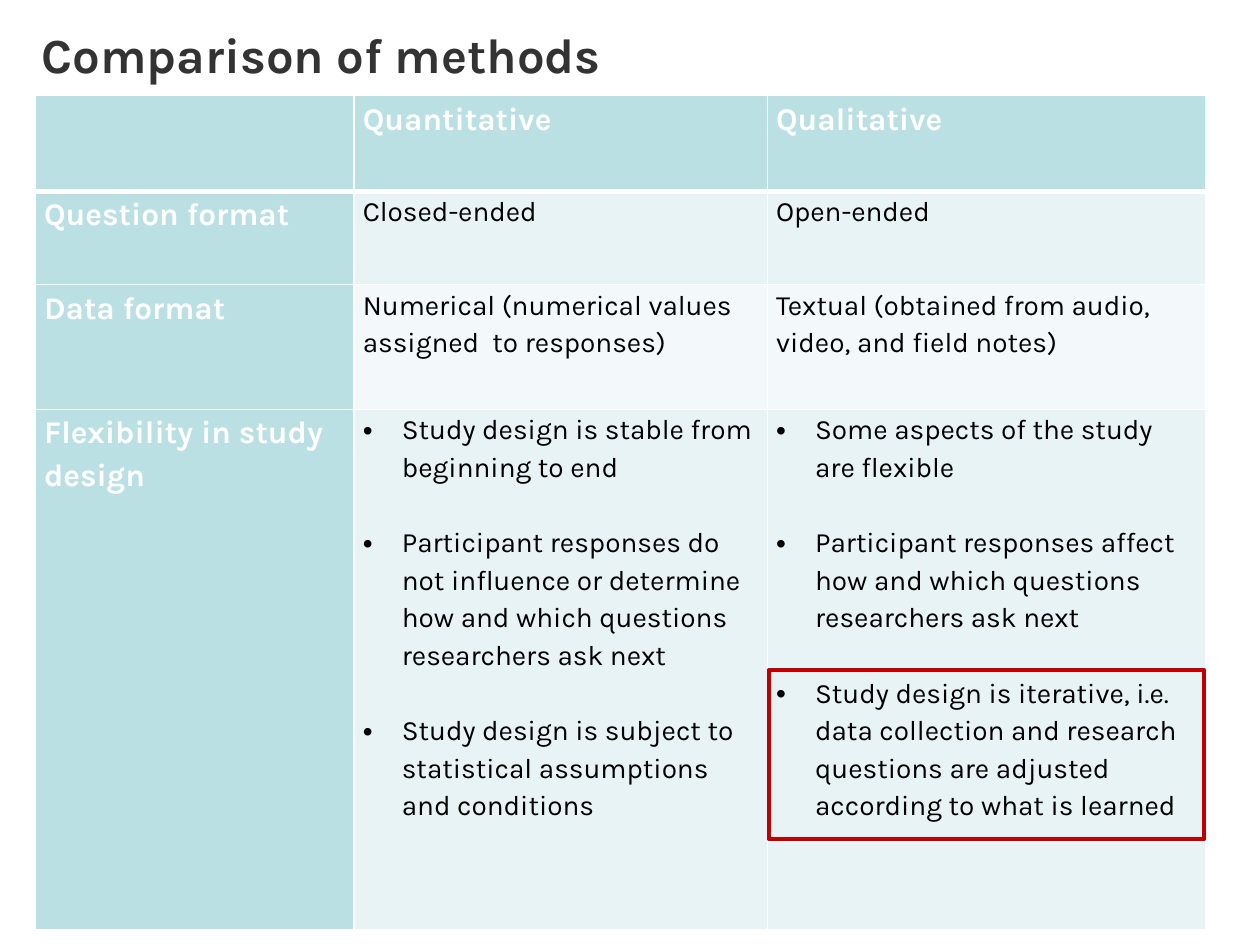
from lxml import etree
from pptx import Presentation
from pptx import util as u
from pptx.dml.color import RGBColor
from pptx.enum import shapes, text
from pptx.oxml import ns

# Content: a list in a cell becomes bullets
TITLE = "Comparison of methods"
ROWS = [
    ("", "Quantitative", "Qualitative"),
    ("Question format", "Closed-ended", "Open-ended"),
    ("Data format",
     "Numerical (numerical values assigned  to responses)",
     "Textual (obtained from audio, video, and field notes)"),
    ("Flexibility in study design",
     ["Study design is stable from beginning to end",
      "Participant responses do not influence or determine how and which "
      "questions researchers ask next",
      "Study design is subject to statistical assumptions and conditions"],
     ["Some aspects of the study are flexible",
      "Participant responses affect how and which questions researchers ask next",
      "Study design is iterative, i.e. data collection and research questions "
      "are adjusted according to what is learned"]),
]
COLUMN_WIDTHS = (2.53, 3.28, 3.48)
ROW_HEIGHTS = (0.76, 0.74, 0.99, 4.13)
TABLE_LEFT, TABLE_TOP = 0.28, 0.76
HEAD_FILL, BAND_FILLS = "BBE0E3", ("F3F9FA", "E7F3F4")
HEAD_FONT = {"size": 18, "color": "FFFFFF", "bold": True}
BODY_FONT = {"size": 16, "color": "000000", "bold": False}
TITLE_FONT = {"size": 28, "color": "333333", "bold": True}
BULLET_INDENT, BULLET_GAP = 0.31, 21.5


def colour(value):
    return RGBColor.from_string(value)


def write(para, words, font):
    span = para.add_run()
    span.text = words
    settings = {"name": "Karla", "size": u.Pt(font["size"]), "bold": font["bold"]}
    for name, value in settings.items():
        setattr(span.font, name, value)
    span.font.color.rgb = colour(font["color"])


def add_bullet(para):
    properties = para._p.get_or_add_pPr()
    indent = u.Inches(BULLET_INDENT)
    properties.set("marL", str(indent))
    properties.set("indent", str(-indent))
    etree.SubElement(properties, ns.qn("a:buFont"), typeface="Arial")
    etree.SubElement(properties, ns.qn("a:buChar"), char="•")


def add_borders(cell, widths):
    properties = cell._tc.get_or_add_tcPr()
    for side, width in widths.items():
        line = etree.SubElement(properties, ns.qn("a:ln" + side), w=str(u.Pt(width)))
        fill = etree.SubElement(line, ns.qn("a:solidFill"))
        etree.SubElement(fill, ns.qn("a:srgbClr"), val="FFFFFF")


def fill_cell(cell, content, row, column):
    is_head = row == 0 or column == 0
    margins = {"margin_left": 0.07, "margin_right": 0.07,
               "margin_top": 0, "margin_bottom": 0}
    for name, value in margins.items():
        setattr(cell, name, u.Inches(value))
    add_borders(cell, {"L": 1, "R": 1, "T": 3 if row == 1 else 1,
                       "B": 3 if row == 0 else 1})
    cell.fill.solid()
    cell.fill.fore_color.rgb = colour(HEAD_FILL if is_head else BAND_FILLS[row % 2])

    bulleted = isinstance(content, list)
    box = cell.text_frame
    for index, words in enumerate(content if bulleted else [content]):
        para = box.add_paragraph() if index else box.paragraphs[0]
        para.line_spacing = 1.15
        if index:
            para.space_before = u.Pt(BULLET_GAP)
        if bulleted:
            add_bullet(para)
        if words:
            write(para, words, HEAD_FONT if is_head else BODY_FONT)


def add_title(page):
    title = page.shapes.title
    place = {"left": 0.33, "top": 0.25, "width": 9.33, "height": 0.51}
    for name, value in place.items():
        setattr(title, name, u.Inches(value))
    box = title.text_frame
    layout = {"margin_left": 0, "margin_right": 0, "margin_top": 0,
              "margin_bottom": 0, "word_wrap": True,
              "vertical_anchor": text.MSO_ANCHOR.TOP,
              "auto_size": text.MSO_AUTO_SIZE.NONE}
    for name, value in layout.items():
        setattr(box, name, value)
    para = box.paragraphs[0]
    para.alignment = text.PP_ALIGN.LEFT
    para.line_spacing = 0.9
    write(para, TITLE, TITLE_FONT)


def add_comparison(page):
    table = page.shapes.add_table(
        len(ROWS), len(COLUMN_WIDTHS), u.Inches(TABLE_LEFT), u.Inches(TABLE_TOP),
        u.Inches(sum(COLUMN_WIDTHS)), u.Inches(sum(ROW_HEIGHTS))).table
    for column, width in zip(table.columns, COLUMN_WIDTHS):
        column.width = u.Inches(width)
    for row, height in zip(table.rows, ROW_HEIGHTS):
        row.height = u.Inches(height)
    for row, contents in enumerate(ROWS):
        for column, content in enumerate(contents):
            fill_cell(table.cell(row, column), content, row, column)


def add_highlight(page):
    frame = page.shapes.add_shape(
        shapes.MSO_SHAPE.RECTANGLE,
        u.Inches(6.1), u.Inches(5.32), u.Inches(3.46), u.Inches(1.34))
    frame.shadow.inherit = False
    frame.fill.background()
    frame.line.color.rgb = colour("C00000")
    frame.line.width = u.Pt(2.25)


def main():
    deck = Presentation()
    deck.slide_width, deck.slide_height = u.Inches(10), u.Inches(7.5)
    page = deck.slides.add_slide(deck.slide_layouts[5])  # Title Only
    add_title(page)
    add_comparison(page)
    add_highlight(page)
    deck.save("out.pptx")


if __name__ == "__main__":
    main()
